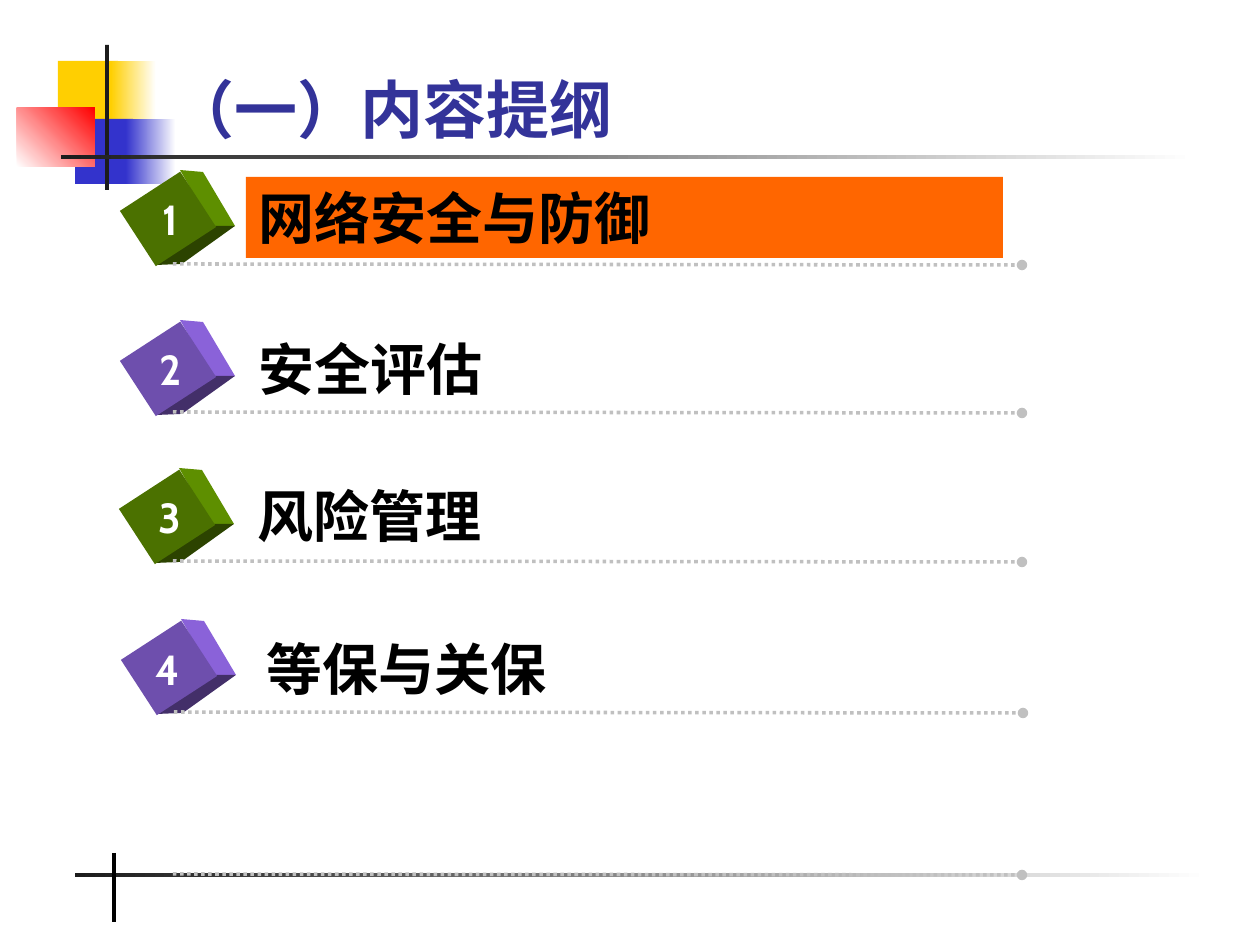
from pptx import Presentation
from pptx.dml.color import RGBColor
from pptx.enum.dml import MSO_LINE
from pptx.enum.shapes import MSO_CONNECTOR, MSO_SHAPE
from pptx.enum.text import MSO_ANCHOR, PP_ALIGN
from pptx.oxml.ns import qn
from pptx.util import Emu, Pt
from lxml import etree

RECTANGLE = MSO_SHAPE.RECTANGLE
STRAIGHT = MSO_CONNECTOR.STRAIGHT
DOTTED = MSO_LINE.ROUND_DOT
TOP, BOTTOM = MSO_ANCHOR.TOP, MSO_ANCHOR.BOTTOM
LEFT, CENTER = PP_ALIGN.LEFT, PP_ALIGN.CENTER
SCALE = 914400 / 126


def px(value):
    return Emu(round(value * SCALE))


def color(value):
    return RGBColor.from_string(value)


class SlideBuilder:
    body_font = "Cabin"
    title_font = "Times New Roman"
    ink = "000000"
    dark = "1C1C1C"
    white = "FFFFFF"
    rule_color = "C0C0C0"
    green = ("4B7100", "5E8F00", "2C4300")
    purple = ("6E4FAD", "8A62D9", "432F69")

    def __init__(self, presentation):
        self.slide = presentation.slides.add_slide(presentation.slide_layouts[6])
        self.shapes = self.slide.shapes

    def paint(self, shape, fill):
        shape.shadow.inherit = False
        shape.fill.solid()
        shape.fill.fore_color.rgb = color(fill)
        shape.line.fill.background()

    def rectangle(self, left, top, width, height, fill, rotation=0):
        shape = self.shapes.add_shape(RECTANGLE, px(left), px(top), px(width), px(height))
        self.paint(shape, fill)
        shape.rotation = rotation
        return shape

    def gradient(self, left, top, width, height, start, end, angle=0):
        shape = self.rectangle(left, top, width, height, start)
        shape.fill.gradient()
        shape.fill.gradient_angle = angle
        for stop, value in zip(shape.fill.gradient_stops, (start, end)):
            stop.color.rgb = color(value)

    def polygon(self, points, fill):
        builder = self.shapes.build_freeform(*points[0], scale=SCALE)
        builder.add_line_segments(points[1:], close=True)
        self.paint(builder.convert_to_shape(), fill)

    def cube(self, left, top, fills):
        front, side, base = fills
        faces = (
            (((45, -13), (68, -11), (100, 43), (77, 43)), side),
            (((77, 43), (100, 43), (47, 81), (22, 82)), base),
        )
        for points, fill in faces:
            self.polygon([(left + x, top + y) for x, y in points], fill)
        self.rectangle(left, top, 66, 72, front, rotation=57)

    def line(self, start, end, value, width):
        connector = self.shapes.add_connector(
            STRAIGHT, px(start[0]), px(start[1]), px(end[0]), px(end[1]))
        connector.line.color.rgb = color(value)
        connector.line.width = Pt(width)
        etree.SubElement(connector._element.spPr, qn("a:effectLst"))
        return connector

    def dotted_rule(self, left, top):
        connector = self.line((left, top), (left + 849, top + 1), self.rule_color, 2)
        connector.line.dash_style = DOTTED
        outline = connector._element.spPr.find(qn("a:ln"))
        etree.SubElement(outline, qn("a:tailEnd"), type="oval")

    def set_text(self, shape, text, size, value, font, align=LEFT, anchor=TOP, wrap=True):
        frame = shape.text_frame
        frame.text = text
        frame.word_wrap = wrap
        frame.vertical_anchor = anchor
        paragraph = frame.paragraphs[0]
        paragraph.alignment = align
        for run in paragraph.runs:
            run.font.name = font
            run.font.size = Pt(size)
            run.font.bold = True
            run.font.color.rgb = color(value)

    def text(self, left, top, width, height, text, size, value, font, **layout):
        shape = self.shapes.add_textbox(px(left), px(top), px(width), px(height))
        self.set_text(shape, text, size, value, font, **layout)

    def heading(self, left, top, width, text, fill=None):
        if fill:
            shape = self.rectangle(left, top, width, 81, fill)
            self.set_text(shape, text, 32, self.ink, self.body_font)
        else:
            self.text(left, top, width, 81, text, 32, self.ink, self.body_font)

    def number(self, left, top, text):
        self.text(left, top, 49, 63, text, 24, self.white, self.body_font,
                  align=CENTER, wrap=False)

    def decoration(self):
        self.rectangle(58, 61, 60, 65, "FFCF01")
        self.gradient(111, 61, 45, 65, "FFCF01", self.white)
        self.rectangle(75, 119, 58, 65, "3333CC")
        self.gradient(126, 119, 50, 65, "3333CC", self.white)
        self.gradient(17, 108, 78, 59, self.white, "FF0000", angle=45)
        self.rectangle(105, 45, 4, 145, self.dark)
        for left, top in ((61, 155), (75, 873)):
            self.gradient(left, top, 1134, 4, self.dark, self.white)
        self.line((114, 853), (114, 922), self.ink, 2.25)


def main():
    presentation = Presentation()
    presentation.slide_width = px(1260)
    presentation.slide_height = px(945)
    builder = SlideBuilder(presentation)
    builder.decoration()
    builder.text(159, 20, 1074, 132, "（一）内容提纲", 36, "333399",
                 builder.title_font, anchor=BOTTOM)
    green, purple = builder.green, builder.purple
    topics = (
        ("网络安全与防御", green, (135, 183), (246, 177, 757), (146, 187), (173, 264), "FF6600"),
        ("安全评估", purple, (135, 333), (246, 328, 737), (146, 337), (173, 412), None),
        ("风险管理", green, (134, 481), (245, 475, 757), (145, 485), (173, 561), None),
        ("等保与关保", purple, (136, 632), (254, 628, 750), (143, 637), (174, 712), None),
    )
    for index, topic in enumerate(topics, start=1):
        text, fills, cube, heading, number, rule, highlight = topic
        builder.cube(*cube, fills)
        builder.heading(*heading, text, highlight)
        builder.number(*number, str(index))
        builder.dotted_rule(*rule)
    builder.dotted_rule(173, 874)
    presentation.save("out.pptx")


if __name__ == "__main__":
    main()
